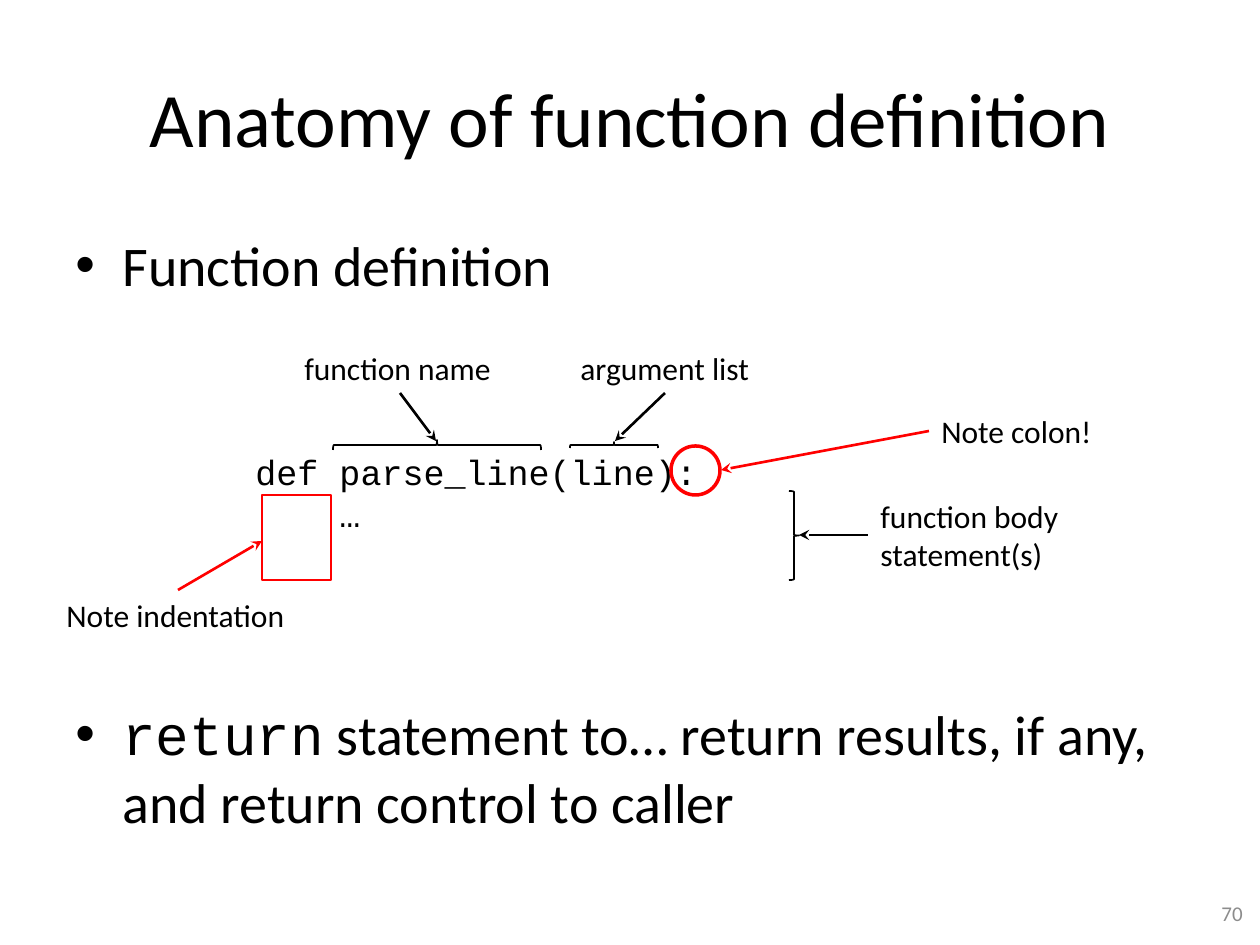
from pptx import Presentation, util as u
from pptx.dml.color import RGBColor
from pptx.enum import shapes, text
from pptx.oxml.ns import qn
from lxml import etree

SCALE = 914400 / 126
BLACK, RED, GRAY = "000000", "FF0000", "8C8C8C"


def px(*lengths):
    return [u.Emu(round(length * SCALE)) for length in lengths]


def add_text(box, lines, **format_values):
    values = {"name": "Calibri", "size": u.Pt(18)} | format_values
    color = values.pop("color", BLACK)
    frame = box.text_frame
    frame.text = "\n".join(lines)
    for paragraph in frame.paragraphs:
        for run in paragraph.runs:
            for key, value in values.items():
                setattr(run.font, key, value)
            run.font.color.rgb = RGBColor.from_string(color)
    return frame


presentation = Presentation()
presentation.slide_width, presentation.slide_height = px(1260, 945)
slide = presentation.slides.add_slide(presentation.slide_layouts[5])

title = slide.shapes.title
title.left, title.top, title.width, title.height = px(63, 38, 1134, 157)
frame = add_text(title, ["Anatomy of function definition"], size=u.Pt(44))
frame.vertical_anchor = text.MSO_ANCHOR.MIDDLE
frame.paragraphs[0].alignment = text.PP_ALIGN.CENTER

body = slide.shapes.add_textbox(*px(63, 224, 1134, 620))
bullets = ["Function definition",
           "return statement to… return results, if any, and return control to caller"]
frame = add_text(body, bullets, size=u.Pt(32))
frame.word_wrap = True
for paragraph in frame.paragraphs:
    properties = paragraph._p.get_or_add_pPr()
    indent = px(47)[0]
    properties.set("marL", str(indent))
    properties.set("indent", str(-indent))
    etree.SubElement(properties, qn("a:buFont")).set("typeface", "Arial")
    etree.SubElement(properties, qn("a:buChar")).set("char", "•")
statement = frame.paragraphs[1]
statement.space_before = u.Pt(230)
keyword = statement.runs[0]
remainder = statement.add_run()
remainder.text = keyword.text.removeprefix("return")
remainder.font.name, remainder.font.size = "Calibri", u.Pt(32)
remainder.font.color.rgb = RGBColor.from_string(BLACK)
keyword.text, keyword.font.name = "return", "Courier New"

code = slide.shapes.add_textbox(*px(243, 444, 471, 97))
frame = add_text(code, ["def parse_line(line):", "    …"], name="Courier New", size=u.Pt(20))
frame.word_wrap = False

labels = [
    (["function name"], 292, 343, 214, 50),
    (["argument list"], 568, 343, 197, 50),
    (["function body", "statement(s)"], 868, 491, 205, 89),
    (["Note colon!"], 929, 406, 178, 50),
    (["Note indentation"], 54, 590, 246, 50),
]
for lines, *place in labels:
    label = slide.shapes.add_textbox(*px(*place))
    add_text(label, lines).word_wrap = False

kinds = shapes.MSO_SHAPE
marks = [
    (kinds.LEFT_BRACE, 90, BLACK, 1, 432, 341, 10, 208),
    (kinds.LEFT_BRACE, 90, BLACK, 1, 611, 401, 6, 88),
    (kinds.LEFT_BRACE, 180, BLACK, 1, 789, 491, 10, 89),
    (kinds.OVAL, 0, RED, 2, 671, 446, 49, 49),
    (kinds.RECTANGLE, 0, RED, 1.5, 262, 495, 69, 85),
]
for kind, rotation, color, width, *place in marks:
    mark = slide.shapes.add_shape(kind, *px(*place))
    mark.rotation = rotation
    mark.shadow.inherit = False
    mark.fill.background()
    mark.line.color.rgb = RGBColor.from_string(color)
    mark.line.width = u.Pt(width)

arrows = [
    (BLACK, 400, 393, 436, 441),
    (BLACK, 665, 393, 615, 441),
    (BLACK, 868, 535, 799, 535),
    (RED, 929, 431, 721, 470),
    (RED, 178, 590, 262, 541),
]
for color, *ends in arrows:
    arrow = slide.shapes.add_connector(shapes.MSO_CONNECTOR.STRAIGHT, *px(*ends))
    arrow.line.color.rgb = RGBColor.from_string(color)
    arrow.line.width = u.Pt(1.5)
    etree.SubElement(arrow.line._get_or_add_ln(), qn("a:tailEnd")).set("type", "stealth")
    etree.SubElement(arrow._element.spPr, qn("a:effectLst"))

number = slide.shapes.add_textbox(*px(961, 888, 294, 50))
frame = add_text(number, ["70"], size=u.Pt(12), color=GRAY)
frame.vertical_anchor = text.MSO_ANCHOR.MIDDLE
frame.word_wrap = True
frame.paragraphs[0].alignment = text.PP_ALIGN.RIGHT

presentation.save("out.pptx")
